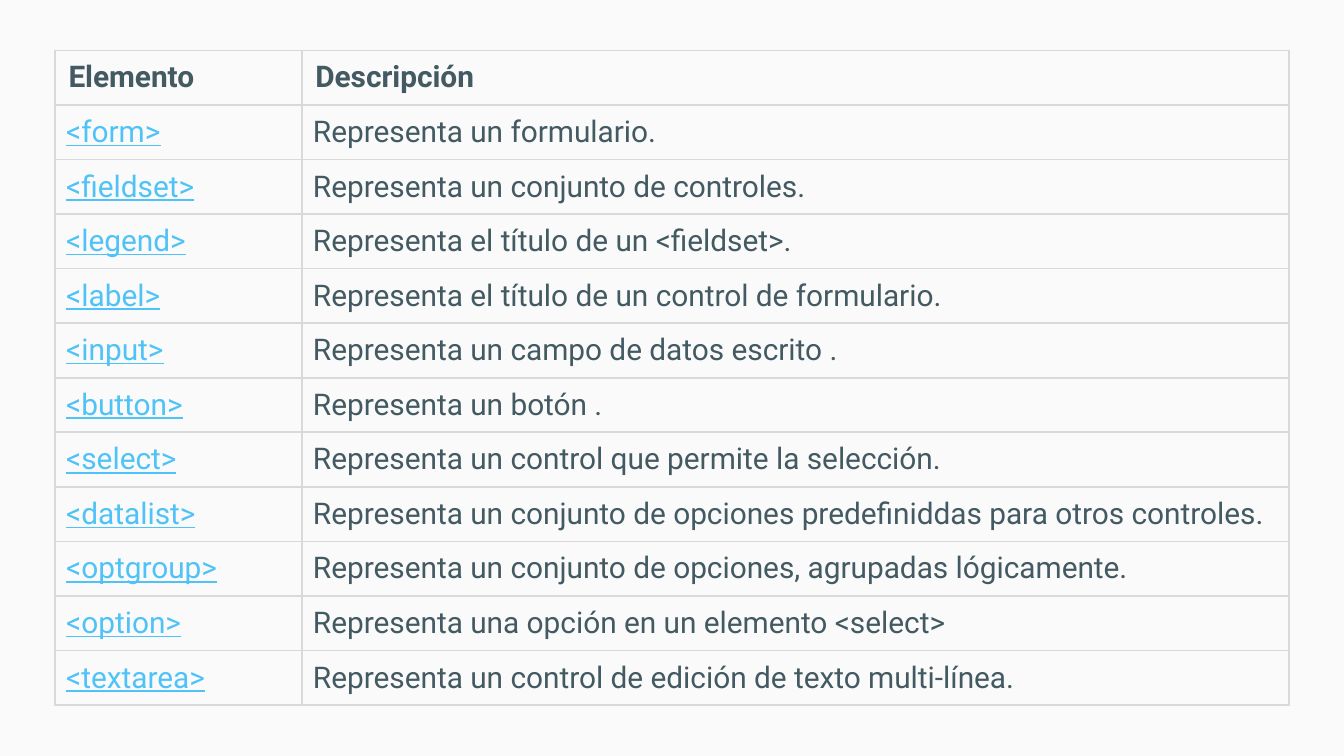
import dataclasses

import lxml.etree
import pptx
import pptx.dml.color
import pptx.enum.text
import pptx.oxml.ns
import pptx.util

Pt = pptx.util.Pt


@dataclasses.dataclass(frozen=True)
class Theme:
    paper: str = "FAFAFA"
    ink: str = "435A62"
    link: str = "4FC3F7"
    rule: str = "D9D9D9"
    font: str = "Roboto"
    size: float = 16
    rule_width: float = 1


THEME = Theme()
HEADER = ("Elemento", "Descripción")
ELEMENTS = [
    ("<form>", "Representa un formulario."),
    ("<fieldset>", "Representa un conjunto de controles."),
    ("<legend>", "Representa el título de un <fieldset>."),
    ("<label>", "Representa el título de un control de formulario."),
    ("<input>", "Representa un campo de datos escrito ."),
    ("<button>", "Representa un botón ."),
    ("<select>", "Representa un control que permite la selección."),
    ("<datalist>", "Representa un conjunto de opciones predefiniddas para otros controles."),
    ("<optgroup>", "Representa un conjunto de opciones, agrupadas lógicamente."),
    ("<option>", "Representa una opción en un elemento <select>"),
    ("<textarea>", "Representa un control de edición de texto multi-línea."),
]

FONT = {"name": THEME.font, "size": Pt(THEME.size)}
HEADER_FONT = {**FONT, "bold": True}
LINK_FONT = {**FONT, "bold": False, "underline": True}
BODY_FONT = {**FONT, "bold": False}

MIDDLE = {"vertical_anchor": pptx.enum.text.MSO_ANCHOR.MIDDLE}
HEADER_CELL = {**MIDDLE, "margin_left": Pt(7.2), "margin_right": Pt(7.2),
               "margin_top": Pt(3.6), "margin_bottom": Pt(3.6)}
BODY_CELL = {**MIDDLE, "margin_left": Pt(6), "margin_right": Pt(6),
             "margin_top": Pt(4.5), "margin_bottom": Pt(4.5)}


def set_values(item, values):
    for name, value in values.items():
        setattr(item, name, value)


def paint(fill, colour):
    fill.solid()
    fill.fore_color.rgb = pptx.dml.color.RGBColor.from_string(colour)


def add_borders(cell):
    qn = pptx.oxml.ns.qn
    properties = cell._tc.get_or_add_tcPr()
    for side in ("lnL", "lnR", "lnT", "lnB"):
        line = lxml.etree.SubElement(properties, qn(f"a:{side}"), w=str(Pt(THEME.rule_width)))
        fill = lxml.etree.SubElement(line, qn("a:solidFill"))
        lxml.etree.SubElement(fill, qn("a:srgbClr"), val=THEME.rule)


def fill_cell(cell, text, cell_values, font_values, colour):
    set_values(cell, cell_values)
    add_borders(cell)
    paint(cell.fill, THEME.paper)
    span = cell.text_frame.paragraphs[0].add_run()
    span.text = text
    set_values(span.font, font_values)
    span.font.color.rgb = pptx.dml.color.RGBColor.from_string(colour)


def add_element_table(page, box):
    left, top, width, height = box
    count = len(ELEMENTS) + 1
    frame = page.shapes.add_table(count, 2, Pt(left), Pt(top), Pt(width), Pt(height))
    table = frame.table
    set_values(table, {"first_row": False, "horz_banding": False})
    for column, share in zip(table.columns, (0.2, 0.8)):
        column.width = Pt(width * share)
    for row in table.rows:
        row.height = Pt(height / count)

    for column, text in enumerate(HEADER):
        fill_cell(table.cell(0, column), text, HEADER_CELL, HEADER_FONT, THEME.ink)
    for row, (element, description) in enumerate(ELEMENTS, start=1):
        fill_cell(table.cell(row, 0), element, BODY_CELL, LINK_FONT, THEME.link)
        fill_cell(table.cell(row, 1), description, BODY_CELL, BODY_FONT, THEME.ink)


def main():
    deck = pptx.Presentation()
    set_values(deck, {"slide_width": Pt(720), "slide_height": Pt(405)})
    page = deck.slides.add_slide(deck.slide_layouts[6])
    paint(page.background.fill, THEME.paper)
    add_element_table(page, (29.5, 27, 661, 351))
    deck.save("out.pptx")


if __name__ == "__main__":
    main()
